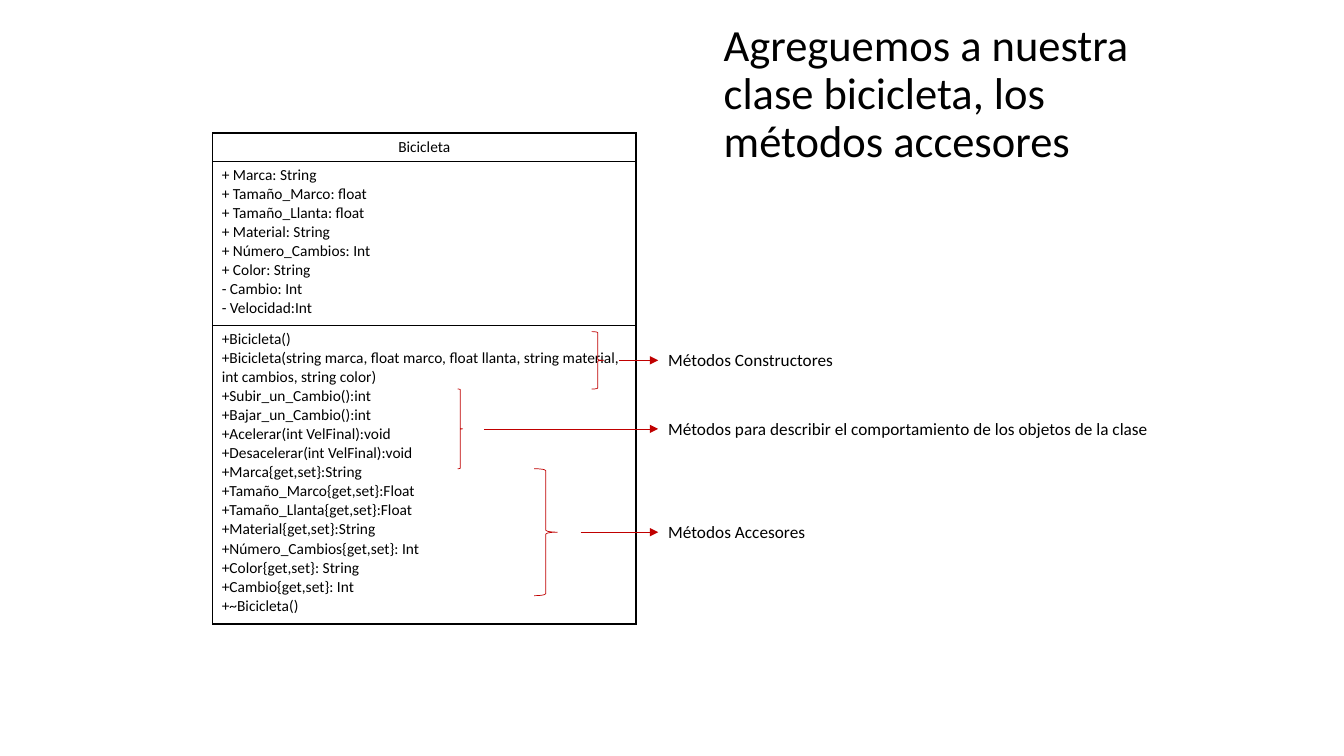
"""Build a slide of a bicycle class diagram with its method groups."""
from dataclasses import dataclass
from pptx import Presentation
from pptx.dml.color import RGBColor
from pptx.enum import shapes, text
from pptx.oxml import parse_xml
from pptx.oxml.ns import nsdecls
from pptx.util import Pt

TITLE = "Agreguemos a nuestra clase bicicleta, los métodos accesores"
ROWS = [
    (20.16, ["Bicicleta"]),
    (117.36, [
        "+ Marca: String",
        "+ Tamaño_Marco: float",
        "+ Tamaño_Llanta: float",
        "+ Material: String",
        "+ Número_Cambios: Int",
        "+ Color: String",
        "- Cambio: Int",
        "- Velocidad:Int",
    ]),
    (213.12, [
        "+Bicicleta()",
        "+Bicicleta(string marca, float marco, float llanta, string material, int cambios, string color)",
        "+Subir_un_Cambio():int",
        "+Bajar_un_Cambio():int",
        "+Acelerar(int VelFinal):void",
        "+Desacelerar(int VelFinal):void",
        "+Marca{get,set}:String",
        "+Tamaño_Marco{get,set}:Float",
        "+Tamaño_Llanta{get,set}:Float",
        "+Material{get,set}:String",
        "+Número_Cambios{get,set}: Int",
        "+Color{get,set}: String",
        "+Cambio{get,set}: Int",
        "+~Bicicleta()",
    ]),
]
GROUPS = [
    ("Métodos Constructores", 133.2, (422.64, 236.88, 8.64, 41.04), 442.08),
    ("Métodos para describir el comportamiento de los objetos de la clase",
     360, (326.88, 277.92, 3.6, 56.88), 345.6),
    ("Métodos Accesores", 113.04, (381.6, 334.8, 16.56, 90.72), 414.72),
]
NOTE_X, NOTE_H = 470.16, 22.32


@dataclass(frozen=True)
class Theme:
    """Colours, font and sizes."""
    ink: RGBColor = RGBColor(0, 0, 0)
    red: RGBColor = RGBColor(0xC0, 0, 0)
    font: str = "Calibri"
    head: float = 31.8
    cell: float = 11
    note: float = 12.3
    rule: float = 1
    thin: float = 0.5


THEME = Theme()


def write(para, words, size):
    """Add one styled run."""
    run = para.add_run()
    run.text = words
    run.font.name, run.font.size, run.font.bold = THEME.font, Pt(size), False
    run.font.color.rgb = THEME.ink


def border(cell):
    """Put a solid line on each side of a cell, ahead of its fill."""
    props = cell._tc.get_or_add_tcPr()
    for spot, side in enumerate("LRTB"):
        props.insert(spot, parse_xml(
            f'<a:ln{side} {nsdecls("a")} w="{Pt(THEME.rule)}"><a:solidFill>'
            f'<a:srgbClr val="{THEME.ink}"/></a:solidFill></a:ln{side}>'))


def add_title(slide):
    """Place the title."""
    title = slide.shapes.title
    title.left, title.top, title.width, title.height = map(Pt, (509.76, 15.84, 356.4, 104.4))
    frame = title.text_frame
    frame.word_wrap, frame.auto_size = True, text.MSO_AUTO_SIZE.NONE
    frame.vertical_anchor = text.MSO_ANCHOR.MIDDLE
    para = frame.paragraphs[0]
    para.alignment, para.line_spacing = text.PP_ALIGN.LEFT, 0.9
    write(para, TITLE, THEME.head)


def add_class(slide):
    """Draw the class as a table of one column."""
    total = sum(height for height, _ in ROWS)
    table = slide.shapes.add_table(
        len(ROWS), 1, Pt(151.92), Pt(95.04), Pt(302.4), Pt(total)).table
    table.first_row = table.horz_banding = False
    for index, (height, lines) in enumerate(ROWS):
        table.rows[index].height = Pt(height)
        cell = table.cell(index, 0)
        cell.fill.background()
        border(cell)
        cell.margin_left = cell.margin_right = Pt(6.5)
        cell.margin_top = cell.margin_bottom = Pt(3.25)
        frame = cell.text_frame
        for spot, line in enumerate(lines):
            para = frame.add_paragraph() if spot else frame.paragraphs[0]
            para.alignment = text.PP_ALIGN.LEFT if index else text.PP_ALIGN.CENTER
            write(para, line, THEME.cell)


def add_group(slide, label, width, box, start):
    """Draw a brace, its arrow and its label on one middle line."""
    brace = slide.shapes.add_shape(shapes.MSO_SHAPE.RIGHT_BRACE, *map(Pt, box))
    brace.shadow.inherit = False
    brace.fill.background()
    mid = box[1] + box[3] / 2
    arrow = slide.shapes.add_connector(
        shapes.MSO_CONNECTOR.STRAIGHT, Pt(start), Pt(mid), Pt(NOTE_X), Pt(mid))
    for part in (brace, arrow):
        part.line.color.rgb = THEME.red
        part.line.width = Pt(THEME.thin)
    arrow.line._get_or_add_ln().append(
        parse_xml(f'<a:tailEnd {nsdecls("a")} type="triangle"/>'))
    arrow._element.spPr.append(parse_xml(f'<a:effectLst {nsdecls("a")}/>'))
    note = slide.shapes.add_textbox(
        Pt(NOTE_X), Pt(mid - NOTE_H / 2), Pt(width), Pt(NOTE_H))
    frame = note.text_frame
    frame.word_wrap = False
    frame.auto_size = text.MSO_AUTO_SIZE.SHAPE_TO_FIT_TEXT
    write(frame.paragraphs[0], label, THEME.note)


def main():
    """Build and save the deck."""
    deck = Presentation()
    deck.slide_width, deck.slide_height = Pt(960), Pt(540)
    slide = deck.slides.add_slide(deck.slide_layouts[5])
    add_title(slide)
    add_class(slide)
    for group in GROUPS:
        add_group(slide, *group)
    deck.save("out.pptx")


if __name__ == "__main__":
    main()
